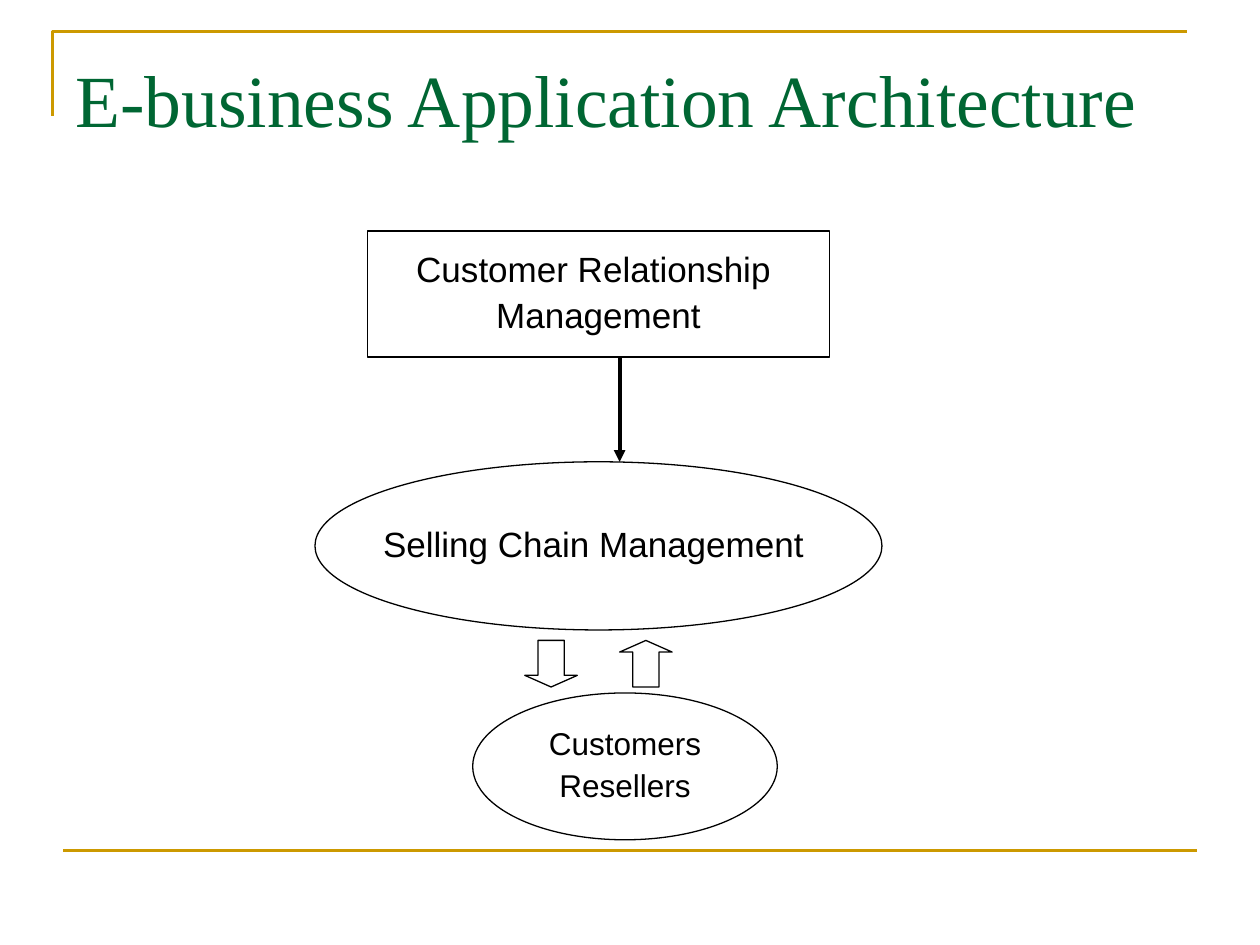
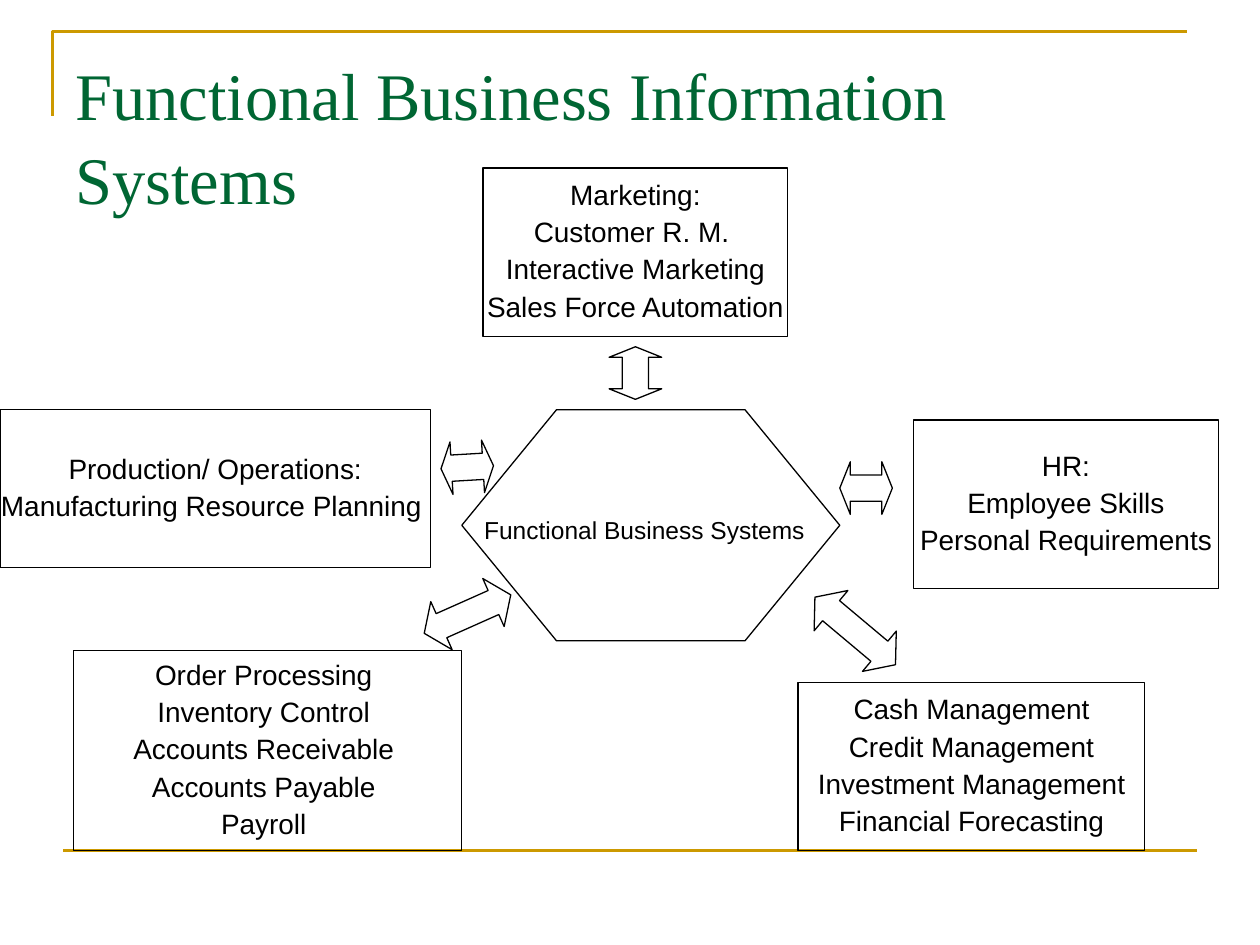
from lxml.etree import SubElement
from pptx import Presentation
from pptx.dml.color import RGBColor
from pptx.enum.shapes import MSO_CONNECTOR, MSO_SHAPE
from pptx.enum.text import MSO_ANCHOR, PP_ALIGN
from pptx.oxml.ns import qn
from pptx.util import Cm, Pt

GOLD, GREEN, BLACK = "CC9900", "006633", "000000"


def write(frame, text, size, color=BLACK, font="Arial", align=PP_ALIGN.CENTER,
          anchor=MSO_ANCHOR.MIDDLE, wrap=False, line_spacing=0.9):
    """Fill a text frame, one paragraph per line of text."""
    frame.word_wrap = wrap
    frame.vertical_anchor = anchor
    for number, line in enumerate(text.split("\n")):
        paragraph = frame.add_paragraph() if number else frame.paragraphs[0]
        paragraph.alignment = align
        paragraph.line_spacing = line_spacing
        paragraph.space_before = Pt(size / 4 if number else 0)
        run = paragraph.add_run()
        run.text = line
        run.font.name = font
        run.font.size = Pt(size)
        run.font.color.rgb = RGBColor.from_string(color)


def outline(item, color=BLACK, width=0.75):
    """Give a shape or connector a plain line, with no fill and no shadow."""
    item.line.color.rgb = RGBColor.from_string(color)
    item.line.width = Pt(width)
    if hasattr(item, "fill"):
        item.fill.background()
        item.shadow.inherit = False
    else:
        SubElement(item._element.spPr, qn("a:effectLst"))
    return item


presentation = Presentation()
presentation.slide_width = Cm(25.4)
presentation.slide_height = Cm(19.05)

# Shared frame and title
slides = []
for heading, size in (("E-business Application Architecture", 42),
                      ("Functional Business Information Systems", 38)):
    shapes = presentation.slides.add_slide(presentation.slide_layouts[6]).shapes
    corner = shapes.build_freeform(Cm(1.06), Cm(2.33))
    corner.add_line_segments([(Cm(1.06), Cm(0.64)), (Cm(23.92), Cm(0.64))], close=False)
    outline(corner.convert_to_shape(), GOLD, 1.5)
    footer_rule = shapes.add_connector(MSO_CONNECTOR.STRAIGHT,
                                       Cm(1.27), Cm(17.15), Cm(24.13), Cm(17.15))
    outline(footer_rule, GOLD, 1.5)
    title = shapes.add_textbox(Cm(1.27), Cm(0.76), Cm(22.86), Cm(3.18)).text_frame
    title.margin_top = Cm(0.25)
    write(title, heading, size, color=GREEN, font="Times New Roman", align=PP_ALIGN.LEFT,
          anchor=MSO_ANCHOR.TOP, wrap=True, line_spacing=1.05)
    slides.append(shapes)
architecture, functions = slides

# Application architecture
for kind, left, top, width, height, size, text in (
    (MSO_SHAPE.RECTANGLE, 7.41, 4.66, 9.31, 2.54, 20, "Customer Relationship \nManagement"),
    (MSO_SHAPE.OVAL, 6.35, 9.31, 11.43, 3.39, 20, "Selling Chain Management "),
    (MSO_SHAPE.OVAL, 9.53, 13.97, 6.14, 2.96, 18, "Customers\nResellers"),
):
    stage = outline(architecture.add_shape(kind, Cm(left), Cm(top), Cm(width), Cm(height)))
    write(stage.text_frame, text, size)

selling_link = architecture.add_connector(MSO_CONNECTOR.STRAIGHT,
                                          Cm(12.49), Cm(7.2), Cm(12.49), Cm(9.31))
outline(selling_link, width=2.25)
SubElement(selling_link.line._get_or_add_ln(), qn("a:tailEnd"), type="triangle")

for left, rotation in ((10.58, 0), (12.49, 180)):
    exchange = outline(architecture.add_shape(MSO_SHAPE.DOWN_ARROW, Cm(left), Cm(12.91),
                                              Cm(1.06), Cm(0.94)))
    exchange.adjustments[1] = 0.25
    exchange.rotation = rotation

# Functional systems around the hub
hub = outline(functions.add_shape(MSO_SHAPE.HEXAGON, Cm(9.31), Cm(8.26), Cm(7.62), Cm(4.66)))
hub.adjustments[0] = 0.41
hub.text_frame.margin_right = Cm(0.5)
hub.text_frame.margin_top = Cm(0.37)
write(hub.text_frame, "Functional Business Systems", 14)

for left, top, width, height, text in (
    (9.74, 3.39, 6.14, 3.39,
     "Marketing:\nCustomer R. M. \nInteractive Marketing\nSales Force Automation"),
    (18.42, 8.47, 6.14, 3.39, "HR:\nEmployee Skills\nPersonal Requirements"),
    (16.09, 13.76, 6.99, 3.39,
     "Cash Management\nCredit Management\nInvestment Management\nFinancial Forecasting"),
    (1.48, 13.12, 7.83, 4.03,
     "Order Processing \nInventory Control \nAccounts Receivable \nAccounts Payable \nPayroll "),
    (0, 8.26, 8.68, 3.18, "Production/ Operations:\nManufacturing Resource Planning "),
):
    department = outline(functions.add_shape(MSO_SHAPE.RECTANGLE, Cm(left), Cm(top),
                                             Cm(width), Cm(height)))
    write(department.text_frame, text, 16)

ARROW_HEIGHT = 1.06
for left, top, width, rotation in (
    (8.47, 11.85, 1.91, 336),
    (12.28, 6.99, 1.06, 270),
    (16.18, 12.19, 2.12, 40),
    (8.89, 8.89, 1.06, 356.7),
    (16.93, 9.31, 1.06, 0),
):
    flow = outline(functions.add_shape(MSO_SHAPE.LEFT_RIGHT_ARROW, Cm(left), Cm(top),
                                       Cm(width), Cm(ARROW_HEIGHT)))
    flow.adjustments[1] = 0.2 * width / ARROW_HEIGHT
    flow.rotation = rotation

presentation.save("out.pptx")
